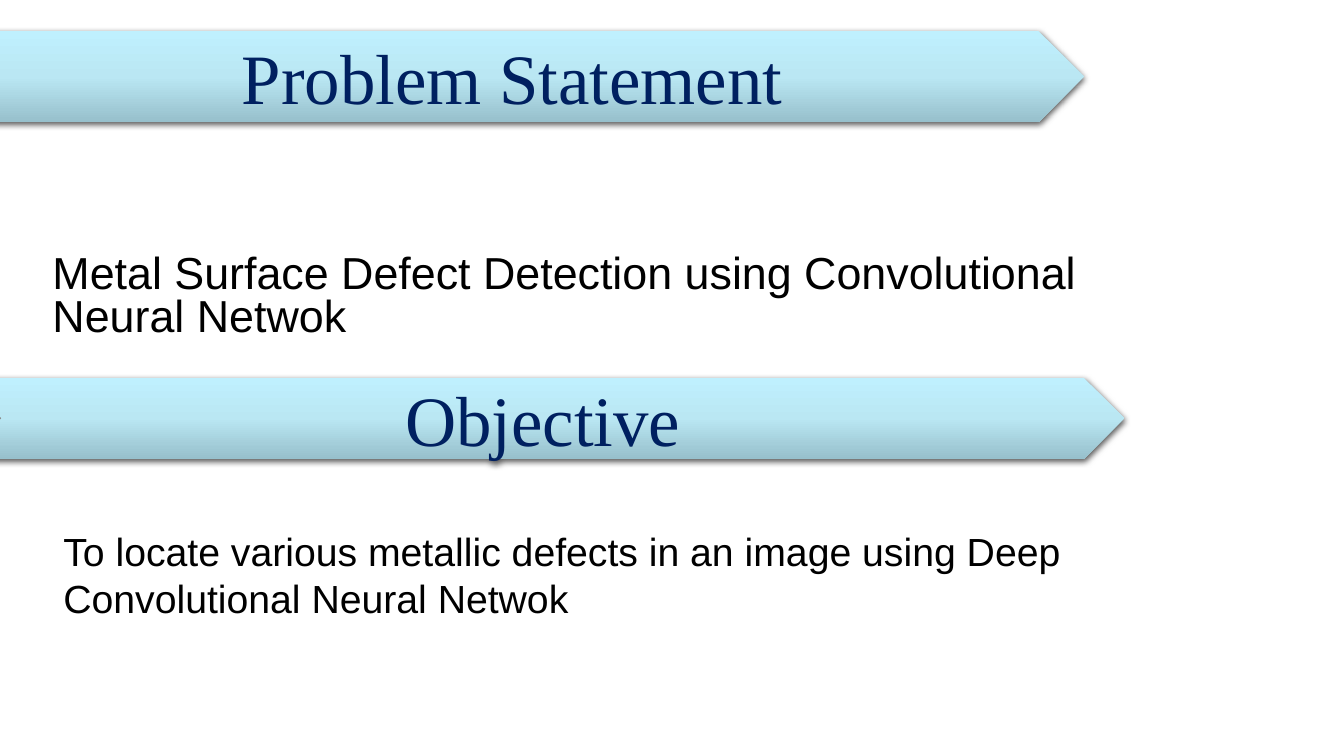
import copy

import lxml.etree
import pptx
import pptx.dml.color
import pptx.enum.shapes
import pptx.enum.text
import pptx.oxml.ns
import pptx.util

Inches = pptx.util.Inches
Pt = pptx.util.Pt
PP_ALIGN = pptx.enum.text.PP_ALIGN
MSO_ANCHOR = pptx.enum.text.MSO_ANCHOR
RGBColor = pptx.dml.color.RGBColor
qn = pptx.oxml.ns.qn

COLORS = {"text": "000000", "heading": "002060", "shadow": "000000",
          "top": "BFF0FE", "middle": "BAE7F3", "bottom": "97C0CC"}
BANNER_STOPS = [(0, "top"), (0.5, "middle"), (1, "bottom")]


def write(sp, text, size, font="Arial", color="text", align=PP_ALIGN.LEFT,
          anchor=MSO_ANCHOR.TOP, margin=0.05, spacing=1.0):
    tf = sp.text_frame
    tf.word_wrap = True
    tf.auto_size = pptx.enum.text.MSO_AUTO_SIZE.NONE
    tf.vertical_anchor = anchor
    tf.margin_left = tf.margin_right = Inches(0.1)
    tf.margin_top = tf.margin_bottom = Inches(margin)
    p = tf.paragraphs[0]
    p.alignment = align
    p.line_spacing = spacing
    r = p.add_run()
    r.text = text
    r.font.size = Pt(size)
    r.font.name = font
    r.font.color.rgb = RGBColor.from_string(COLORS[color])


def add_banner(s, text, left, top, width, height):
    """Add a chevron heading with a vertical gradient and a soft shadow."""
    sp = s.shapes.add_shape(pptx.enum.shapes.MSO_SHAPE.CHEVRON, Inches(left),
                            Inches(top), Inches(width), Inches(height))
    sp.line.fill.background()
    sp.fill.gradient()
    sp.fill.gradient_angle = 270
    stop_list = sp.element.spPr.find(".//" + qn("a:gsLst"))
    stop_list.append(copy.deepcopy(stop_list[0]))
    for stop, (position, name) in zip(sp.fill.gradient_stops, BANNER_STOPS):
        stop.position = position
        stop.color.rgb = RGBColor.from_string(COLORS[name])

    sp.shadow.inherit = False
    effects = sp.element.spPr.find(qn("a:effectLst"))
    shadow = lxml.etree.SubElement(
        effects, qn("a:outerShdw"), blurRad=str(Pt(4.5)), dist=str(Pt(1.5)),
        dir="5400000", algn="ctr", rotWithShape="0")
    color = lxml.etree.SubElement(shadow, qn("a:srgbClr"), val=COLORS["shadow"])
    lxml.etree.SubElement(color, qn("a:alpha"), val="63000")

    write(sp, text, 50.6, font="Times New Roman", color="heading",
          align=PP_ALIGN.CENTER, anchor=MSO_ANCHOR.MIDDLE)


prs = pptx.Presentation()
prs.slide_width = Inches(13.33)
prs.slide_height = Inches(7.5)
s = prs.slides.add_slide(prs.slide_layouts[0])
subtitle = s.placeholders[1].element
subtitle.getparent().remove(subtitle)

title = s.shapes.title
title.left, title.top = Inches(0.42), Inches(1.69)
title.width, title.height = Inches(11.33), Inches(1.74)
write(title, "Metal Surface Defect Detection using Convolutional Neural Netwok",
      32, anchor=MSO_ANCHOR.BOTTOM, spacing=0.8)

add_banner(s, "Problem Statement", -0.58, 0.31, 11.33, 0.9)
add_banner(s, "Objective", -0.38, 3.75, 11.53, 0.8)

objective = s.shapes.add_textbox(Inches(0.53), Inches(5.13),
                                 Inches(10.22), Inches(1.23))
write(objective, "To locate various metallic defects in an image using Deep "
      "Convolutional Neural Netwok", 28, margin=0.1)

prs.save("out.pptx")
